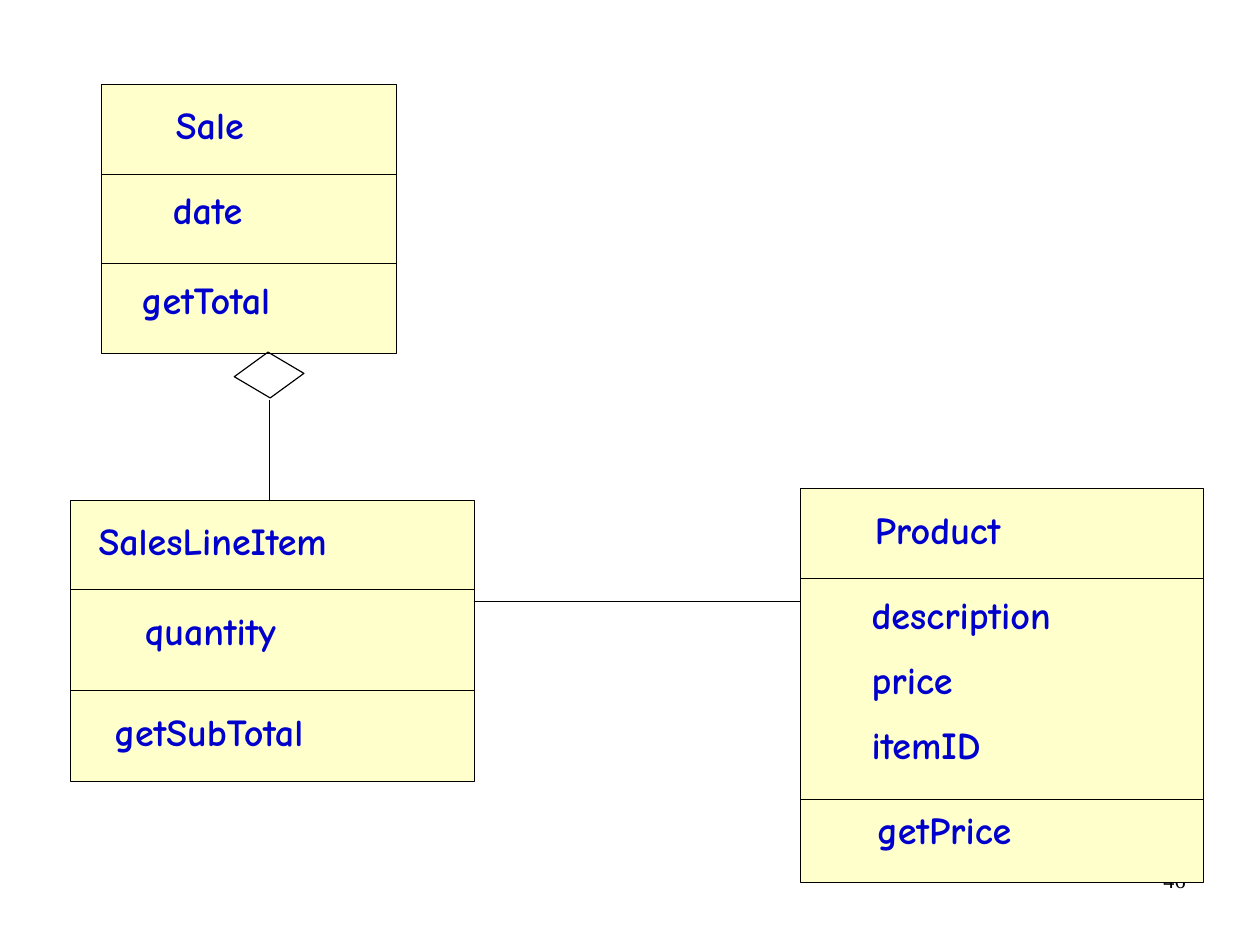
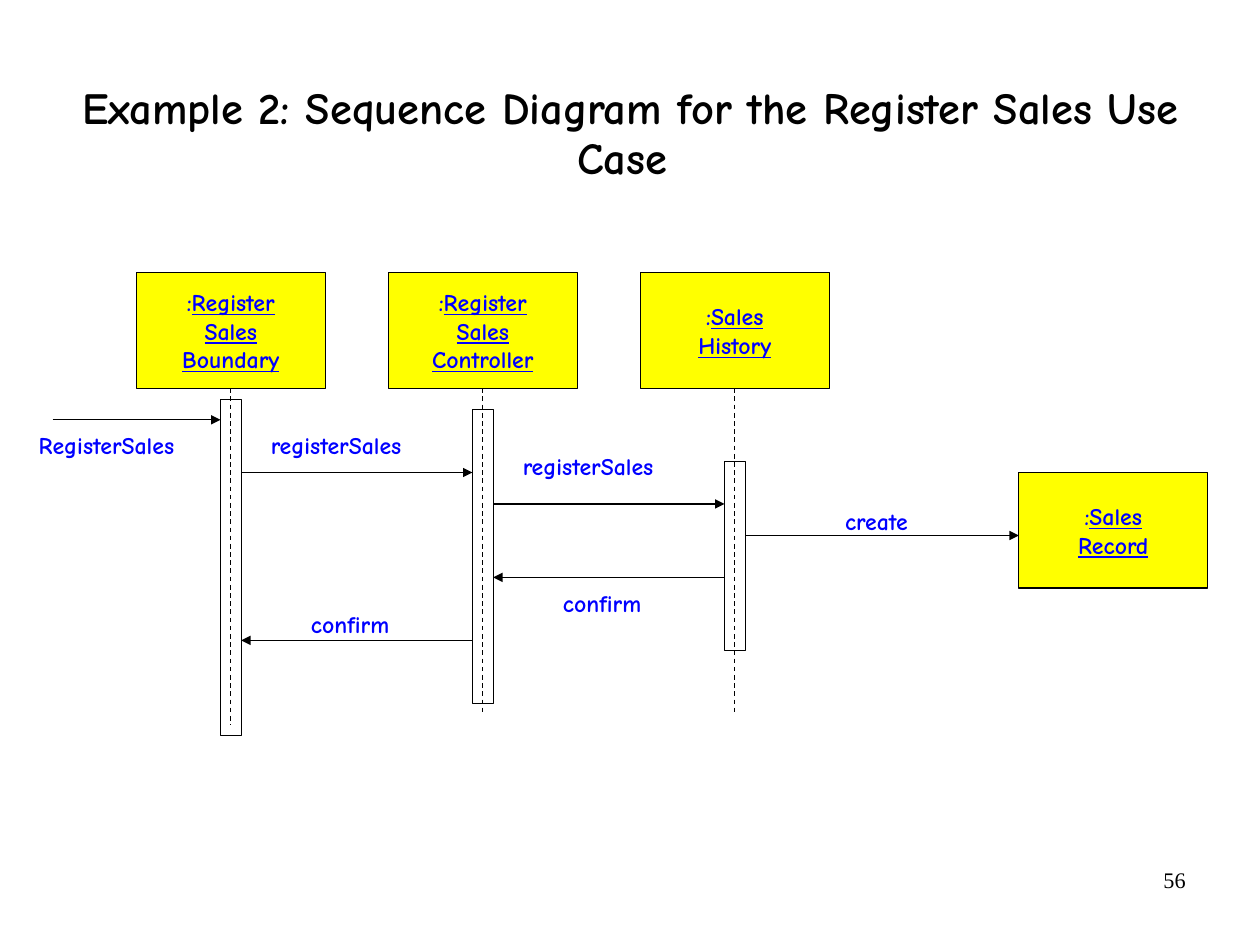
"""Builds a class diagram slide and a sequence diagram slide."""
from dataclasses import dataclass

import pptx
import pptx.dml.color
import pptx.enum.dml
import pptx.enum.shapes
import pptx.enum.text
import pptx.oxml
import pptx.oxml.ns
import pptx.util
from pptx.util import Cm

ALIGN = pptx.enum.text.PP_ALIGN
ANCHOR = pptx.enum.text.MSO_ANCHOR
SHAPE = pptx.enum.shapes.MSO_SHAPE


def rgb(value):
    return pptx.dml.color.RGBColor.from_string(value)


@dataclass(frozen=True)
class Theme:
    diagram_font: str = "Comic Neue"
    number_font: str = "Times New Roman"
    ink: str = "000000"
    class_text: str = "0000CC"
    class_fill: str = "FFFFCC"
    object_text: str = "0000FF"
    object_fill: str = "FFFF00"
    title_size: float = 28
    class_size: float = 24
    object_size: float = 15
    number_size: float = 14
    line_width: float = 0.75
    class_gap: float = 12.2


THEME = Theme()
CLASS_INSETS = (0.28, 0.15)

# Each section: height, text indent, text drop, lines.
CLASSES = [
    dict(left=2.26, top=1.88, width=6.55, sections=[
        (1.99, 1.37, 0.23, ["Sale"]),
        (1.99, 1.30, 0.13, ["date"]),
        (2.00, 0.61, 0.13, ["getTotal"])]),
    dict(left=17.79, top=10.86, width=8.96, sections=[
        (1.99, 1.37, 0.25, ["Product"]),
        (4.91, 1.30, 0.15, ["description", "price", "itemID"]),
        (1.85, 1.42, 0, ["getPrice"])]),
    dict(left=1.57, top=11.12, width=8.97, sections=[
        (1.99, 0.34, 0.23, ["SalesLineItem"]),
        (2.24, 1.37, 0.24, ["quantity"]),
        (2.01, 0.69, 0.25, ["getSubTotal"])]),
]
ASSOCIATIONS = [(10.54, 13.36, 17.79, 13.36), (5.99, 11.14, 5.99, 8.89)]
DIAMOND = (5.47, 7.56, 1.02, 1.55)
DIAMOND_ROTATION = 87.3

TITLE = "Example 2: Sequence Diagram for the Register Sales Use Case "
TITLE_AREA = (0.71, 1.18, 26.59, 3.61)
OBJECT_WIDTH, OBJECT_HEIGHT = 4.2, 2.57
OBJECT_LEFT, OBJECT_TOP, OBJECT_PITCH = 3.03, 6.06, 5.6
BAR_WIDTH = 0.46
LIFELINES = [
    dict(name=["Register", "Sales", "Boundary"], end=16.1, bar=(8.87, 7.47)),
    dict(name=["Register", "Sales", "Controller"], end=15.88, bar=(9.1, 6.53)),
    dict(name=["Sales", "History"], end=15.88, bar=(10.26, 4.2)),
]
RECORD = dict(name=["Sales", "Record"], left=22.64, top=10.5)
CALLER = "caller"
CREATED = "created"
# Each message: sender, receiver, height, label, label left, label top.
MESSAGES = [
    (CALLER, 0, 9.33, "RegisterSales", 0.86, 9.58),
    (0, 1, 10.5, "registerSales", 6.02, 9.58),
    (1, 2, 11.2, "registerSales", 11.62, 10.03),
    (2, CREATED, 11.9, "create", 18.78, 11.25),
    (2, 1, 12.83, "confirm", 12.51, 13.08),
    (1, 0, 14.23, "confirm", 6.91, 13.54),
]


def set_font(font, name, size, color, bold=True):
    font.name = name
    font.size = pptx.util.Pt(size)
    font.bold = bold
    font.color.rgb = rgb(color)


def set_frame(frame, insets, anchor=ANCHOR.TOP):
    frame.word_wrap = True
    frame.auto_size = pptx.enum.text.MSO_AUTO_SIZE.NONE
    frame.vertical_anchor = anchor
    frame.margin_left = frame.margin_right = Cm(insets[0])
    frame.margin_top = frame.margin_bottom = Cm(insets[1])


def add_box(slide, area, fill=None, kind=SHAPE.RECTANGLE):
    shape = slide.shapes.add_shape(kind, *map(Cm, area))
    shape.shadow.inherit = False
    if fill:
        shape.fill.solid()
        shape.fill.fore_color.rgb = rgb(fill)
    else:
        shape.fill.background()
    shape.line.color.rgb = rgb(THEME.ink)
    shape.line.width = pptx.util.Pt(THEME.line_width)
    return shape


def add_line(slide, ends, dashed=False, arrow=False):
    line = slide.shapes.add_connector(
        pptx.enum.shapes.MSO_CONNECTOR.STRAIGHT, *map(Cm, ends))
    line.line.color.rgb = rgb(THEME.ink)
    line.line.width = pptx.util.Pt(THEME.line_width)
    if dashed:
        line.line.dash_style = pptx.enum.dml.MSO_LINE.DASH
    if arrow:
        tail = pptx.oxml.parse_xml(
            f'<a:tailEnd {pptx.oxml.ns.nsdecls("a")} type="triangle"/>')
        line.line._get_or_add_ln().append(tail)
    line._element.spPr.append(
        pptx.oxml.parse_xml(f'<a:effectLst {pptx.oxml.ns.nsdecls("a")}/>'))


def add_text(slide, area, lines, font, insets=(0, 0), gap=0, align=ALIGN.LEFT):
    frame = slide.shapes.add_textbox(*map(Cm, area)).text_frame
    set_frame(frame, insets)
    frame.text = "\n".join(lines)
    for index, paragraph in enumerate(frame.paragraphs):
        paragraph.alignment = align
        if index:
            paragraph.space_before = pptx.util.Pt(gap)
        set_font(paragraph.font, *font)


def add_slide(presentation, layout, number):
    slide = presentation.slides.add_slide(presentation.slide_layouts[layout])
    add_text(slide, (20.07, 19.13, 6.53, 1.45), [number],
             (THEME.number_font, THEME.number_size, THEME.ink, False),
             insets=(0.25, 0.13), align=ALIGN.RIGHT)
    return slide


def add_class(slide, left, top, width, sections):
    name, attributes, operations = sections
    total = sum(section[0] for section in sections)
    add_box(slide, (left, top, width, total), THEME.class_fill)
    add_box(slide, (left, top + name[0], width, attributes[0]))
    for height, indent, drop, lines in sections:
        add_text(slide, (left + indent, top + drop, width - indent, 1.32 * len(lines)),
                 lines, (THEME.diagram_font, THEME.class_size, THEME.class_text),
                 CLASS_INSETS, THEME.class_gap)
        top += height


def add_object(slide, name, left, top):
    shape = add_box(slide, (left, top, OBJECT_WIDTH, OBJECT_HEIGHT), THEME.object_fill)
    frame = shape.text_frame
    set_frame(frame, CLASS_INSETS, ANCHOR.MIDDLE)
    for index, word in enumerate(name):
        paragraph = frame.paragraphs[0] if index == 0 else frame.add_paragraph()
        paragraph.alignment = ALIGN.CENTER
        if index == 0:
            paragraph.add_run().text = ":"
        run = paragraph.add_run()
        run.text = word
        run.font.underline = True
        set_font(paragraph.font, THEME.diagram_font, THEME.object_size, THEME.object_text)


def build_class_diagram(presentation):
    slide = add_slide(presentation, 6, "46")
    for item in CLASSES:
        add_class(slide, **item)
    for ends in ASSOCIATIONS:
        add_line(slide, ends)
    diamond = add_box(slide, DIAMOND, kind=SHAPE.FLOWCHART_DECISION)
    diamond.rotation = DIAMOND_ROTATION


def build_sequence_diagram(presentation):
    slide = add_slide(presentation, 5, "56")
    title = slide.shapes.title
    title.left, title.top, title.width, title.height = map(Cm, TITLE_AREA)
    title.text_frame.text = TITLE
    set_frame(title.text_frame, (0.05, 0.15), ANCHOR.MIDDLE)
    paragraph = title.text_frame.paragraphs[0]
    paragraph.alignment = ALIGN.CENTER
    paragraph.line_spacing = 0.94
    set_font(paragraph.font, THEME.diagram_font, THEME.title_size, THEME.ink)

    edges = {CALLER: (1.17, 1.17), CREATED: (RECORD["left"], RECORD["left"])}
    for index, lifeline in enumerate(LIFELINES):
        left = OBJECT_LEFT + index * OBJECT_PITCH
        center = left + OBJECT_WIDTH / 2
        edges[index] = (center - BAR_WIDTH / 2, center + BAR_WIDTH / 2)
        bar_top, bar_height = lifeline["bar"]
        add_object(slide, lifeline["name"], left, OBJECT_TOP)
        add_box(slide, (edges[index][0], bar_top, BAR_WIDTH, bar_height))
        add_line(slide, (center, OBJECT_TOP + OBJECT_HEIGHT, center, lifeline["end"]),
                 dashed=True)
    add_object(slide, **RECORD)

    for sender, receiver, height, label, left, top in MESSAGES:
        forward = edges[sender][0] < edges[receiver][0]
        start = edges[sender][1 if forward else 0]
        end = edges[receiver][0 if forward else 1]
        add_line(slide, (start, height, end, height), arrow=True)
        add_text(slide, (left, top, 4, 0.64), [label],
                 (THEME.diagram_font, THEME.object_size, THEME.object_text))


def main():
    presentation = pptx.Presentation()
    presentation.slide_width, presentation.slide_height = Cm(28), Cm(21)
    build_class_diagram(presentation)
    build_sequence_diagram(presentation)
    presentation.save("out.pptx")


if __name__ == "__main__":
    main()
